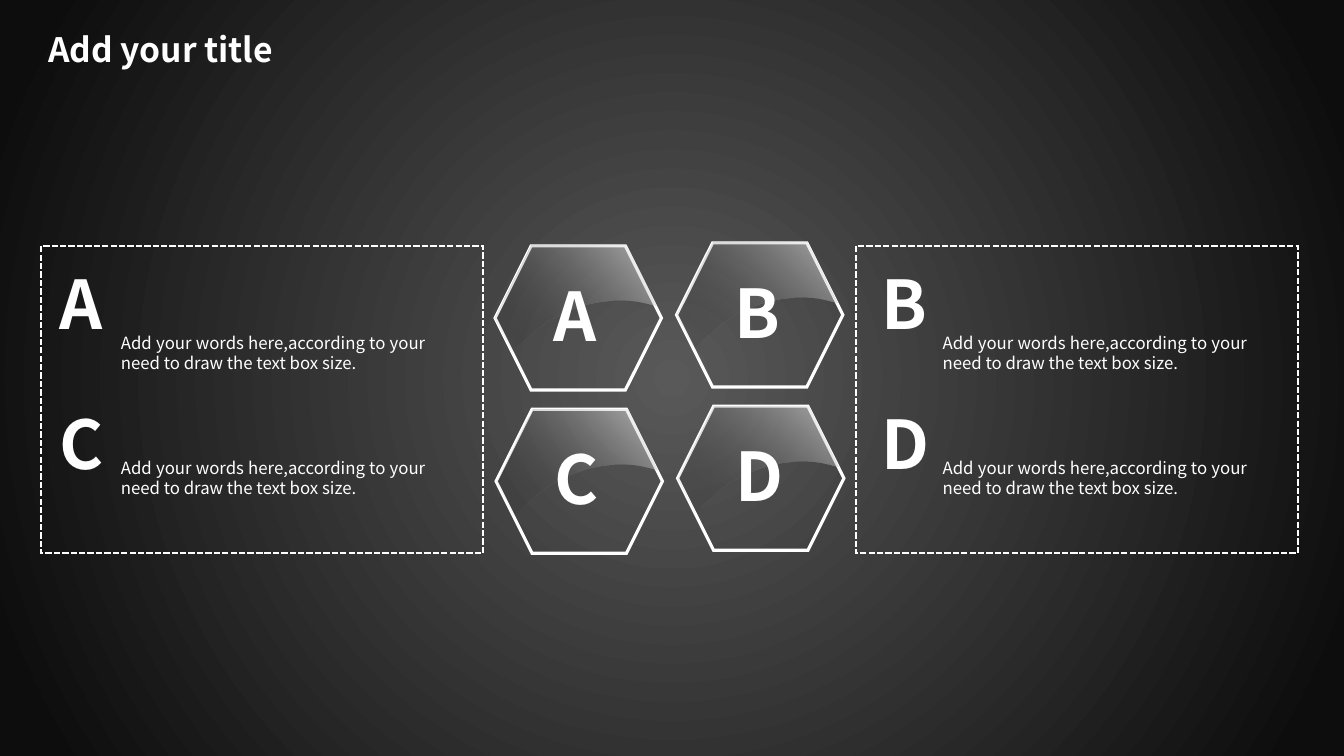
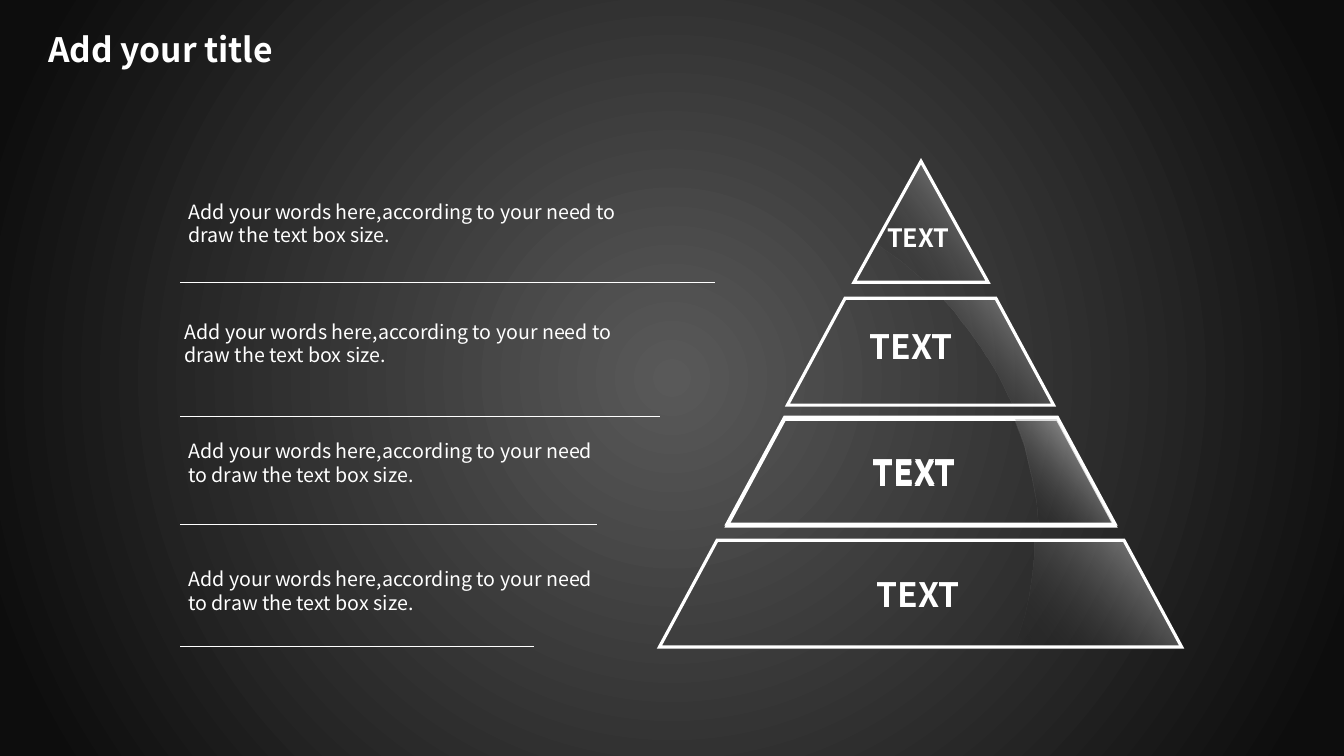
from dataclasses import dataclass

from pptx import Presentation
from pptx.dml.color import RGBColor
from pptx.enum.dml import MSO_LINE
from pptx.enum.shapes import MSO_CONNECTOR, MSO_SHAPE
from pptx.enum.text import MSO_AUTO_SIZE, PP_ALIGN
from pptx.oxml import parse_xml
from pptx.oxml.ns import nsdecls, qn
from pptx.util import Inches, Pt

HEXAGON, RECTANGLE, TRAPEZOID = MSO_SHAPE.HEXAGON, MSO_SHAPE.RECTANGLE, MSO_SHAPE.TRAPEZOID
STRAIGHT = MSO_CONNECTOR.STRAIGHT
DASH = MSO_LINE.SQUARE_DOT
GROW = MSO_AUTO_SIZE.SHAPE_TO_FIT_TEXT
LEFT, JUSTIFY = PP_ALIGN.LEFT, PP_ALIGN.JUSTIFY


@dataclass(frozen=True)
class Theme:
    font: str = "Noto Sans CJK SC"
    ink: str = "FFFFFF"
    shade: str = "000000"
    glow: str = "595959"
    edge: str = "0D0D0D"
    letter: int = 48
    title: int = 24
    tier: int = 24
    tip: int = 18
    body: int = 14
    small: int = 12
    outline: float = 2.25
    frame: float = 1.5
    rule: float = 0.5


THEME = Theme()
BODY = "Add your words here,according to your need to draw the text box size."

HEX_SHEEN = [
    (0.36, 0), (1.3, 0), (1.6, 0.6), (1.53, 0.58),
    (1.23, 0.49, 0.86, 0.54, 0.52, 0.75),
    (0.39, 0.84, 0.27, 0.94, 0.18, 1.05), (0.18, 1.05), (0, 0.71),
]
TIP_SHEEN = [
    (0.66, 0), (1.33, 1.2), (0.72, 1.2), (0.57, 1.07),
    (0.5, 1.01, 0.42, 0.95, 0.35, 0.9), (0.21, 0.81),
]
UPPER_SHEEN = [
    (1.54, 0), (2.08, 0), (2.65, 1.06), (2.24, 1.06), (2.16, 0.89),
    (2.12, 0.8, 2.07, 0.71, 2.01, 0.62),
    (1.9, 0.44, 1.78, 0.28, 1.65, 0.12),
]
LOWER_SHEEN = [
    (2.85, 0), (3.28, 0), (3.85, 1.06), (3.09, 1.06), (3.07, 0.82),
    (3.04, 0.64, 3, 0.45, 2.95, 0.26),
]
BASE_SHEEN = [
    (3.72, 0), (4.61, 0), (5.17, 1.06), (3.51, 1.06), (3.57, 0.91),
    (3.66, 0.67, 3.7, 0.41, 3.72, 0.14),
]


def gradient(stops, direction):
    marks = "".join(
        f'<a:gs pos="{pos * 1000}"><a:srgbClr val="{color}">'
        f'<a:alpha val="{alpha * 1000}"/></a:srgbClr></a:gs>'
        for pos, color, alpha in stops
    )
    return parse_xml(
        f'<a:gradFill {nsdecls("a")} rotWithShape="1">'
        f"<a:gsLst>{marks}</a:gsLst>{direction}</a:gradFill>"
    )


def set_backdrop(master):
    master.background.fill.solid()
    solid = next(master.element.iter(qn("p:bgPr"))).find(qn("a:solidFill"))
    center = '<a:fillToRect l="50000" t="50000" r="50000" b="50000"/>'
    solid.getparent().replace(solid, gradient(
        [(0, THEME.glow, 100), (94, THEME.edge, 100)],
        f'<a:path path="circle">{center}</a:path>',
    ))


def add_text(s, text, x, y, w, h, size=THEME.body, bold=False, align=LEFT):
    tf = s.shapes.add_textbox(Inches(x), Inches(y), Inches(w), Inches(h)).text_frame
    tf.word_wrap = True
    tf.auto_size = GROW
    p = tf.paragraphs[0]
    p.alignment = align
    r = p.add_run()
    r.text = text
    r.font.name = THEME.font
    r.font.size = Pt(size)
    r.font.bold = bold
    r.font.color.rgb = RGBColor.from_string(THEME.ink)


def set_line(line, width):
    line.color.rgb = RGBColor.from_string(THEME.ink)
    line.width = Pt(width)


def add_outline(s, kind, x, y, w, h, width=THEME.outline, dash=None):
    sp = s.shapes.add_shape(kind, Inches(x), Inches(y), Inches(w), Inches(h))
    sp.shadow.inherit = False
    sp.fill.background()
    set_line(sp.line, width)
    sp.line.dash_style = dash
    ln = sp.element.spPr.find(qn("a:ln"))
    ln.append(parse_xml(f'<a:miter {nsdecls("a")} lim="800000"/>'))
    return sp


def add_rule(s, x1, x2, y):
    line = s.shapes.add_connector(STRAIGHT, Inches(x1), Inches(y), Inches(x2), Inches(y))
    set_line(line.line, THEME.rule)
    line.element.spPr.append(parse_xml(f'<a:effectLst {nsdecls("a")}/>'))


def bend(segment, node, left, top):
    points = "".join(
        f'<a:pt x="{Inches(px - left)}" y="{Inches(py - top)}"/>'
        for px, py in zip(node[::2], node[1::2])
    )
    curve = parse_xml(f'<a:cubicBezTo {nsdecls("a")}>{points}</a:cubicBezTo>')
    segment.getparent().replace(segment, curve)


def add_sheen(s, outline, x, y, angle):
    ends = [node[-2:] for node in outline]
    points = [(Inches(x + dx), Inches(y + dy)) for dx, dy in ends]
    builder = s.shapes.build_freeform(*points[0])
    builder.add_line_segments(points[1:], close=True)
    sp = builder.convert_to_shape()
    sp.shadow.inherit = False
    sp.line.fill.background()
    sp.fill.background()
    spPr = sp.element.spPr
    left, top = (min(values) for values in zip(*ends))
    for segment, node in zip(list(spPr.iter(qn("a:lnTo"))), outline[1:]):
        if len(node) == 6:
            bend(segment, node, left, top)
    spPr.replace(spPr.find(qn("a:noFill")), gradient(
        [(0, THEME.shade, 0), (100, THEME.ink, 58)],
        f'<a:lin ang="{angle * 60000}" scaled="0"/>',
    ))


def add_letter(s, letter, x, y):
    add_text(s, letter, x, y, 0.37, 0.91, size=THEME.letter, bold=True)


def add_hexagon(s, letter, x, y):
    add_outline(s, HEXAGON, x, y, 1.65, 1.43)
    add_sheen(s, HEX_SHEEN, x, y, 315)
    add_letter(s, letter, x + 0.48, y + 0.23)


def add_panel_text(s, letters, x):
    for letter, letter_y, body_y in zip(letters, (2.55, 3.94), (3.25, 4.49)):
        add_letter(s, letter, x, letter_y)
        add_text(s, BODY, x + 0.61, body_y, 3.22, 0.5,
                 size=THEME.small, align=JUSTIFY)


def add_tier(s, sheen, x, y, w, h, adj, label, size=THEME.tier):
    add_sheen(s, sheen, x, y, 320)
    add_outline(s, TRAPEZOID, x, y, w, h).adjustments[0] = adj
    dx, dy, label_w, label_h = label
    add_text(s, "TEXT", x + dx, y + dy, label_w, label_h, size=size, bold=True)


def new_slide(prs, title):
    s = prs.slides.add_slide(prs.slide_layouts[6])
    add_text(s, title, 0.38, 0.24, 3.06, 0.5, size=THEME.title, bold=True)
    return s


def build_hexagons(prs):
    s = new_slide(prs, "Add your title")
    for x in (0.41, 8.49):
        add_outline(s, RECTANGLE, x, 2.44, 4.38, 3.05, THEME.frame, DASH)
    add_panel_text(s, "AC", 0.49)
    add_panel_text(s, "BD", 8.64)
    for letter, x, y in (("A", 4.91, 2.44), ("B", 6.71, 2.41),
                         ("C", 4.92, 4.06), ("D", 6.72, 4.03)):
        add_hexagon(s, letter, x, y)


def build_pyramid(prs):
    s = new_slide(prs, "Add your title")
    for x, y, w, rule_end, rule_y in (
        (1.77, 1.93, 4.62, 7.09, 2.8),
        (1.73, 3.12, 4.62, 6.55, 4.13),
        (1.77, 4.31, 4.38, 5.92, 5.2),
        (1.77, 5.58, 4.38, 5.3, 6.41),
    ):
        add_rule(s, 1.79, rule_end, rule_y)
        add_text(s, BODY, x, y, w, 0.57)
    add_tier(s, TIP_SHEEN, 8.47, 1.6, 1.33, 1.2, 1.25, (0.23, 0.56, 0.85, 0.4), THEME.tip)
    add_tier(s, UPPER_SHEEN, 7.81, 2.96, 2.64, 1.06, 0.54, (0.72, 0.22, 1.2, 0.5))
    add_tier(s, LOWER_SHEEN, 7.21, 4.16, 3.85, 1.06, 0.54, (1.35, 0.28, 1.11, 0.5))
    add_tier(s, BASE_SHEEN, 6.54, 5.36, 5.18, 1.06, 0.54, (2.06, 0.28, 1.07, 0.5))
    add_tier(s, LOWER_SHEEN, 7.21, 4.14, 3.85, 1.06, 0.54, (1.35, 0.28, 1.11, 0.5))


def main():
    prs = Presentation()
    prs.slide_width, prs.slide_height = Inches(13.33), Inches(7.5)
    set_backdrop(prs.slide_master)
    build_hexagons(prs)
    build_pyramid(prs)
    prs.save("out.pptx")


if __name__ == "__main__":
    main()
